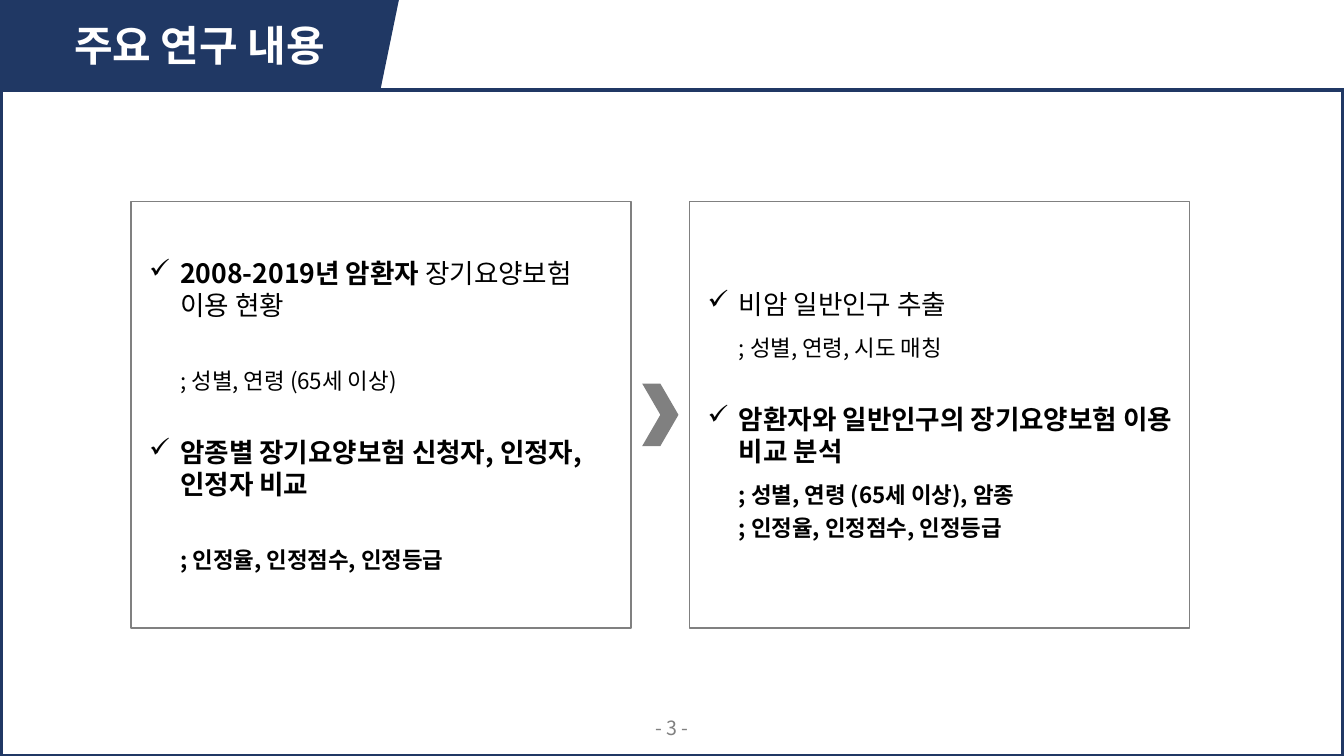
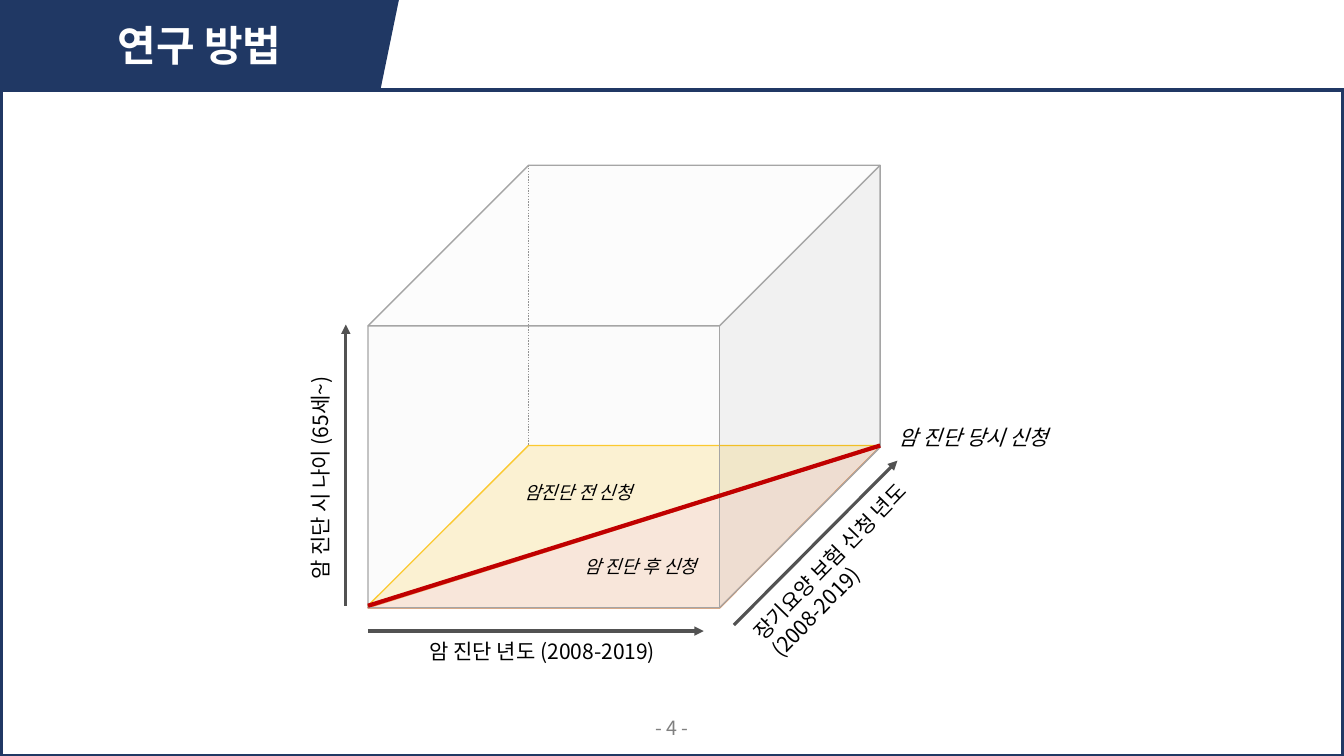
"""Build two slides on long-term care insurance use by cancer patients."""
from dataclasses import dataclass
from typing import Optional

import lxml.etree
import pptx
import pptx.dml.color
import pptx.enum.dml
import pptx.enum.shapes
import pptx.enum.text
import pptx.oxml.ns
import pptx.util

RGBColor = pptx.dml.color.RGBColor
Align = pptx.enum.text.PP_ALIGN
Preset = pptx.enum.shapes.MSO_SHAPE
Point = tuple[float, float]

WIDTH = pptx.util.Inches(13.33)
HEIGHT = pptx.util.Inches(7.5)
FONT = "Noto Sans CJK KR"

NAVY = RGBColor(0x20, 0x38, 0x64)
WHITE = RGBColor(0xFF, 0xFF, 0xFF)
BLACK = RGBColor(0x00, 0x00, 0x00)
GRAY = RGBColor(0x80, 0x80, 0x80)
ARROW_GRAY = RGBColor(0x52, 0x52, 0x52)
DOT_GRAY = RGBColor(0x7C, 0x7C, 0x7C)
CUBE_FILL = RGBColor(0xED, 0xED, 0xED)
CUBE_EDGE = RGBColor(0xA5, 0xA5, 0xA5)
PEACH = RGBColor(0xFB, 0xE5, 0xD6)
ORANGE = RGBColor(0xED, 0x7D, 0x31)
CREAM = RGBColor(0xFF, 0xF2, 0xCC)
AMBER = RGBColor(0xFF, 0xC0, 0x00)
RED = RGBColor(0xC0, 0x00, 0x00)


@dataclass(frozen=True)
class Box:
    """A rectangle in percent of the slide's width and height."""
    left: float
    top: float
    width: float
    height: float

    def emu(self) -> tuple[int, int, int, int]:
        """Return left, top, width and height in EMU."""
        return (*place((self.left, self.top)), *place((self.width, self.height)))


@dataclass(frozen=True)
class TextStyle:
    """The look of one paragraph."""
    size: float
    color: RGBColor = BLACK
    bold: bool = False
    italic: bool = False
    align: Align = Align.CENTER


@dataclass(frozen=True)
class Item:
    """A checked heading or an indented detail, with an optional bold lead."""
    text: str
    checked: bool = False
    bold: bool = False
    lead: str = ""
    before: float = 0
    after: float = 5


@dataclass(frozen=True)
class Label:
    """A text box on the diagram."""
    box: Box
    lines: tuple[str, ...]
    style: TextStyle
    rotation: float = 0


@dataclass(frozen=True)
class Stroke:
    """A straight line on the diagram."""
    start: Point
    end: Point
    color: RGBColor
    weight: float
    arrow: bool = False
    dotted: bool = False


FOOTER_BOX = Box(40, 94, 20, 4.53)
FRAME_BOX = Box(0.08, 11.87, 99.85, 88.13)
BANNER = [(0, -0.27), (29.71, -0.27), (28.28, 12.13), (0, 12.13)]
TITLE_STYLE = TextStyle(30, WHITE, bold=True)
FOOTER_STYLE = TextStyle(14, GRAY)

PANEL = Box(9.75, 26.67, 37.21, 56.4)
PANEL_PITCH = 41.56
CHEVRON_WIDTH, CHEVRON_HEIGHT = 2.7, 8.27
PANELS = [
    [
        Item("장기요양보험 이용 현황", checked=True, lead="2008-2019년 암환자 "),
        Item("; 성별, 연령 (65세 이상)", before=28, after=10),
        Item("암종별 장기요양보험 신청자, 인정자, 인정자 비교", checked=True, bold=True, before=20),
        Item("; 인정율, 인정점수, 인정등급", bold=True, before=28, after=10),
    ],
    [
        Item("비암 일반인구 추출", checked=True),
        Item("; 성별, 연령, 시도 매칭", before=5, after=10),
        Item("암환자와 일반인구의 장기요양보험 이용 비교 분석", checked=True, bold=True, before=20),
        Item("; 성별, 연령 (65세 이상), 암종", bold=True, before=5),
        Item("; 인정율, 인정점수, 인정등급", bold=True, after=10),
    ],
]

CUBE = Box(27.38, 21.87, 38.11, 58.53)
CUBE_DEPTH = 0.363
FLOOR_FRONT = CUBE.top + CUBE.height
FLOOR_BACK = 59.07
BACK_LEFT = 39.31
FRONT_RIGHT = 53.56
CUBE_RIGHT = CUBE.left + CUBE.width
SEAM_START, SEAM_END = (CUBE.left, 80.13), (CUBE_RIGHT, 58.93)
AFTER_AREA = [(CUBE.left, FLOOR_FRONT), (CUBE_RIGHT, FLOOR_BACK), (FRONT_RIGHT, FLOOR_FRONT)]
BEFORE_AREA = [SEAM_END, SEAM_START, (BACK_LEFT, SEAM_END[1])]
HIDDEN_CORNER = (BACK_LEFT, FLOOR_BACK)
HIDDEN_EDGES = [
    Stroke(corner, HIDDEN_CORNER, DOT_GRAY, 1, dotted=True)
    for corner in [(BACK_LEFT, CUBE.top), (CUBE_RIGHT, FLOOR_BACK), (CUBE.left, FLOOR_FRONT)]
]
FRONT_STROKES = [
    Stroke(SEAM_START, SEAM_END, RED, 3),
    Stroke((CUBE.left, 83.47), (52.36, 83.47), ARROW_GRAY, 2.25, arrow=True),
    Stroke((54.61, 82.67), (66.77, 60.93), ARROW_GRAY, 2.25, arrow=True),
    Stroke((25.73, 80.13), (25.73, 42.93), ARROW_GRAY, 2.25, arrow=True),
]
AXIS_STYLE = TextStyle(15)
AREA_STYLE = TextStyle(13, italic=True)
LABELS = [
    Label(Box(27.08, 83.87, 26.56, 4.67), ("암 진단 년도 (2008-2019)",), AXIS_STYLE),
    Label(Box(53.86, 70.93, 17.63, 8.13), ("장기요양 보험 신청 년도", "(2008-2019)"),
          TextStyle(15, align=Align.LEFT), 314.2),
    Label(Box(14.03, 60.93, 19.65, 4.67), ("암 진단 시 나이 (65세~)",), AXIS_STYLE, 270),
    Label(Box(36.98, 63.07, 12.08, 4.27), ("암진단 전 신청",), AREA_STYLE),
    Label(Box(42.39, 72.8, 10.5, 4.27), ("암 진단 후 신청",), AREA_STYLE),
    Label(Box(64.59, 55.47, 15.68, 4.67), ("암 진단 당시 신청",), TextStyle(15, italic=True)),
]


def place(point: Point) -> tuple[int, int]:
    """Turn percentages of the slide into EMU."""
    return round(point[0] * WIDTH / 100), round(point[1] * HEIGHT / 100)


def add_element(parent, tag: str, **attributes: str):
    """Append a DrawingML element."""
    return lxml.etree.SubElement(parent, pptx.oxml.ns.qn(tag), attributes)


def style_paragraph(paragraph, style: TextStyle) -> None:
    """Set the alignment and font of a paragraph."""
    paragraph.alignment = style.align
    font = paragraph.font
    font.name = FONT
    font.size = pptx.util.Pt(style.size)
    font.bold = style.bold
    font.italic = style.italic
    font.color.rgb = style.color
    add_element(paragraph._p.pPr.defRPr, "a:ea", typeface=FONT)


def write_lines(shape, lines: tuple[str, ...], style: TextStyle) -> None:
    """Fill a shape with one paragraph a line."""
    frame = shape.text_frame
    frame.word_wrap = True
    frame.text = "\n".join(lines)
    for paragraph in frame.paragraphs:
        style_paragraph(paragraph, style)


def paint(shape, fill: Optional[RGBColor], line: Optional[RGBColor] = None, weight: float = 1) -> None:
    """Set fill and outline and drop the shadow."""
    shape.shadow.inherit = False
    if fill is None:
        shape.fill.background()
    else:
        shape.fill.solid()
        shape.fill.fore_color.rgb = fill
    if line is None:
        shape.line.fill.background()
    else:
        shape.line.color.rgb = line
        shape.line.width = pptx.util.Pt(weight)


def add_polygon(slide, points: list[Point], fill: RGBColor, line: Optional[RGBColor] = None):
    """Draw a closed outline through the points."""
    builder = slide.shapes.build_freeform(*place(points[0]))
    builder.add_line_segments([place(point) for point in points[1:]], close=True)
    shape = builder.convert_to_shape()
    paint(shape, fill, line)
    return shape


def add_label(slide, label: Label) -> None:
    """Draw a text box."""
    shape = slide.shapes.add_textbox(*label.box.emu())
    shape.rotation = label.rotation
    write_lines(shape, label.lines, label.style)


def add_stroke(slide, stroke: Stroke) -> None:
    """Draw a straight line or arrow."""
    connector = slide.shapes.add_connector(
        pptx.enum.shapes.MSO_CONNECTOR.STRAIGHT, *place(stroke.start), *place(stroke.end))
    connector.line.color.rgb = stroke.color
    connector.line.width = pptx.util.Pt(stroke.weight)
    if stroke.dotted:
        connector.line.dash_style = pptx.enum.dml.MSO_LINE.ROUND_DOT
    if stroke.arrow:
        add_element(connector.line._get_or_add_ln(), "a:tailEnd", type="triangle")
    add_element(connector._element.spPr, "a:effectLst")


def add_base_slide(presentation, title: str, number: int):
    """Add a slide with its footer, title banner and frame."""
    slide = presentation.slides.add_slide(presentation.slide_layouts[6])
    add_label(slide, Label(FOOTER_BOX, (f"- {number} -",), FOOTER_STYLE))
    banner = add_polygon(slide, BANNER, NAVY)
    banner.text_frame.vertical_anchor = pptx.enum.text.MSO_ANCHOR.MIDDLE
    write_lines(banner, (title,), TITLE_STYLE)
    frame = slide.shapes.add_shape(Preset.RECTANGLE, *FRAME_BOX.emu())
    paint(frame, None, NAVY, 3)
    return slide


def write_item(paragraph, item: Item) -> None:
    """Write one panel item, with a check mark if it is a heading."""
    properties = paragraph._p.get_or_add_pPr()
    properties.set("marL", str(pptx.util.Inches(0.39)))
    properties.set("indent", str(pptx.util.Inches(-0.31 if item.checked else 0)))
    if item.checked:
        add_element(properties, "a:buChar", char="✓")
    else:
        add_element(properties, "a:buNone")
    if item.lead:
        lead = paragraph.add_run()
        lead.text = item.lead
        lead.font.bold = True
    paragraph.add_run().text = item.text
    paragraph.space_before = pptx.util.Pt(item.before)
    paragraph.space_after = pptx.util.Pt(item.after)
    size = 19 if item.checked else 16
    style_paragraph(paragraph, TextStyle(size, bold=item.bold, align=Align.LEFT))


def add_panel(slide, box: Box, items: list[Item]) -> None:
    """Draw an outlined panel of items."""
    panel = slide.shapes.add_shape(Preset.RECTANGLE, *box.emu())
    paint(panel, WHITE, GRAY)
    frame = panel.text_frame
    frame.word_wrap = True
    frame.vertical_anchor = pptx.enum.text.MSO_ANCHOR.MIDDLE
    for index, item in enumerate(items):
        write_item(frame.add_paragraph() if index else frame.paragraphs[0], item)


def build_contents(presentation) -> None:
    """Build the slide of main research contents."""
    slide = add_base_slide(presentation, "주요 연구 내용", 3)
    for index, items in enumerate(PANELS):
        left = PANEL.left + index * PANEL_PITCH
        add_panel(slide, Box(left, PANEL.top, PANEL.width, PANEL.height), items)
    chevron_box = Box(PANEL.left + (PANEL.width + PANEL_PITCH - CHEVRON_WIDTH) / 2,
                      PANEL.top + (PANEL.height - CHEVRON_HEIGHT) / 2, CHEVRON_WIDTH, CHEVRON_HEIGHT)
    paint(slide.shapes.add_shape(Preset.CHEVRON, *chevron_box.emu()), GRAY)


def build_method(presentation) -> None:
    """Build the slide of the three-axis research method."""
    slide = add_base_slide(presentation, "연구 방법", 4)
    for edge in HIDDEN_EDGES:
        add_stroke(slide, edge)
    add_polygon(slide, AFTER_AREA, PEACH, ORANGE)
    add_polygon(slide, BEFORE_AREA, CREAM, AMBER)
    cube = slide.shapes.add_shape(Preset.CUBE, *CUBE.emu())
    cube.adjustments[0] = CUBE_DEPTH
    paint(cube, CUBE_FILL, CUBE_EDGE)
    fill_color = cube._element.spPr.find(pptx.oxml.ns.qn("a:solidFill"))[0]
    add_element(fill_color, "a:alpha", val="20000")
    for stroke in FRONT_STROKES:
        add_stroke(slide, stroke)
    for label in LABELS:
        add_label(slide, label)


def main() -> None:
    """Build and save the presentation."""
    presentation = pptx.Presentation()
    presentation.slide_width, presentation.slide_height = WIDTH, HEIGHT
    build_contents(presentation)
    build_method(presentation)
    presentation.save("out.pptx")


if __name__ == "__main__":
    main()
